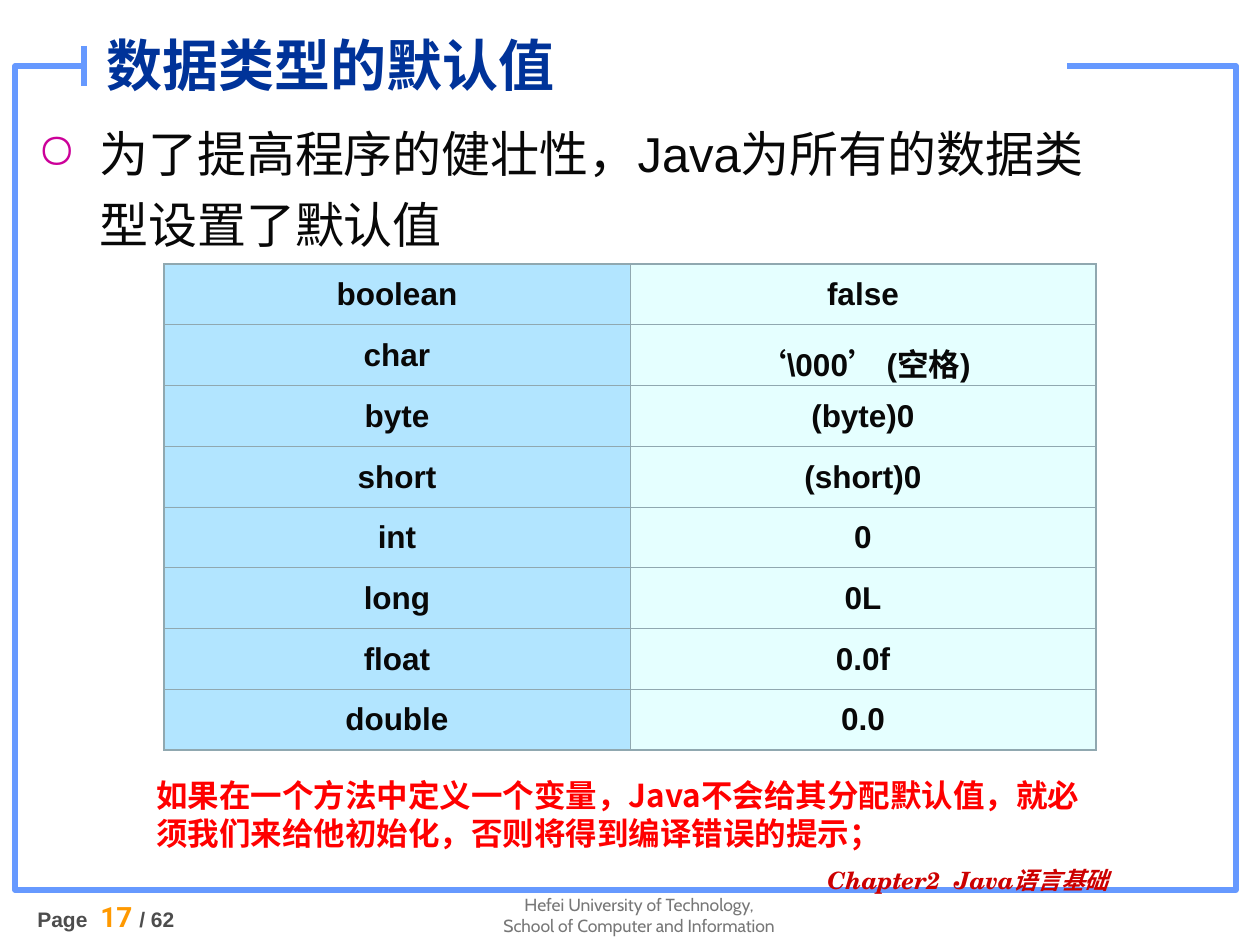
from lxml import etree
from pptx import Presentation
from pptx.dml.color import RGBColor as RGB
from pptx.enum.shapes import MSO_CONNECTOR as CONN, MSO_SHAPE as SHAPE
from pptx.enum.text import MSO_ANCHOR as ANCHOR, PP_ALIGN as ALIGN
from pptx.oxml.ns import qn
from pptx.util import Pt

PX = 914400 / 126
BLUE = RGB(0x66, 0x99, 0xFF)
WHITE = RGB(0xFF, 0xFF, 0xFF)
NAVY = RGB(0x00, 0x33, 0x99)
BLACK = RGB(0x08, 0x08, 0x08)
GREY = RGB(0x77, 0x77, 0x77)
DARK = RGB(0x4D, 0x4D, 0x4D)
ORANGE = RGB(0xFF, 0x99, 0x00)
CRIMSON = RGB(0xCC, 0x00, 0x00)
RED = RGB(0xFF, 0x00, 0x00)
MAGENTA = RGB(0xCC, 0x00, 0x99)
BORDER = RGB(0x90, 0xA8, 0xB0)
TYPE_FILL = RGB(0x66, 0xCC, 0xFF)
VALUE_FILL = RGB(0xCC, 0xFF, 0xFF)
CJK = "Noto Sans CJK SC"

prs = Presentation()
prs.slide_width, prs.slide_height = round(1260 * PX), round(945 * PX)
s = prs.slides.add_slide(prs.slide_layouts[6])


def add_run(p, text, size, color, font="Arial", bold=True, italic=False):
    r = p.add_run()
    r.text = text
    f = r.font
    f.size, f.name, f.bold, f.italic = Pt(size), font, bold, italic
    f.color.rgb = color
    ea = etree.Element(qn("a:ea"), typeface=CJK)
    r._r.rPr.find(qn("a:latin")).addnext(ea)


def add_box(x, y, w, h):
    tf = s.shapes.add_textbox(*(round(v * PX) for v in (x, y, w, h))).text_frame
    tf.word_wrap = True
    return tf


# Frame, with a white strip opening its top edge for the title
for x, y, w, h in [(15, 66, 1221, 824), (84, 35, 983, 44)]:
    sp = s.shapes.add_shape(SHAPE.RECTANGLE, *(round(v * PX) for v in (x, y, w, h)))
    sp.shadow.inherit = False
    if x == 15:
        sp.fill.background()
        sp.line.color.rgb = BLUE
        sp.line.width = Pt(3)
    else:
        sp.fill.solid()
        sp.fill.fore_color.rgb = WHITE
        sp.line.fill.background()

# Tick beside the title
tick = s.shapes.add_connector(CONN.STRAIGHT, *(round(v * PX) for v in (84, 46, 84, 86)))
tick.line.color.rgb = BLUE
tick.line.width = Pt(3)
etree.SubElement(tick._element.spPr, qn("a:effectLst"))

# Footer: school, page number, chapter
tf = add_box(479, 888, 320, 56)
lines = ["Hefei University of Technology,", "School of Computer and Information"]
for i, line in enumerate(lines):
    p = tf.add_paragraph() if i else tf.paragraphs[0]
    p.alignment = ALIGN.CENTER
    add_run(p, line, 10, GREY, "Cabin", False)

p = add_box(25, 893, 228, 50).paragraphs[0]
add_run(p, "Page ", 12, DARK)
add_run(p, " 17 ", 16, ORANGE, "Roboto")
add_run(p, "/ 62", 12, DARK)

p = add_box(815, 863, 387, 44).paragraphs[0]
p.line_spacing = 0.9
add_run(p, "Chapter2  Java语言基础", 13.6, CRIMSON, "TeX Gyre Schola", italic=True)

# Title
tf = add_box(94, 14, 853, 101)
tf.vertical_anchor = ANCHOR.MIDDLE
add_run(tf.paragraphs[0], "数据类型的默认值", 32, NAVY)

# Bulleted statement
p = add_box(25, 106, 1072, 218).paragraphs[0]
p.line_spacing = 1.2
pPr = p._p.get_or_add_pPr()
pPr.set("marL", str(round(62 * PX)))
pPr.set("indent", str(round(-62 * PX)))
bu_clr = etree.SubElement(pPr, qn("a:buClr"))
etree.SubElement(bu_clr, qn("a:srgbClr"), val=str(MAGENTA))
etree.SubElement(pPr, qn("a:buChar"), char="○")
add_run(p, "为了提高程序的健壮性，Java为所有的数据类型设置了默认值", 28, BLACK, bold=False)

# Table of default values; each cell is a list of (text, font) runs
QUOTE = "DejaVu Sans"
defaults = [
    ("boolean", [("false", "Arial")]),
    ("char", [("‘", QUOTE), ("\\000", "Arial"), ("’ ", QUOTE), ("(空格)", "Arial")]),
    ("byte", [("(byte)0", "Arial")]),
    ("short", [("(short)0", "Arial")]),
    ("int", [("0", "Arial")]),
    ("long", [("0L", "Arial")]),
    ("float", [("0.0f", "Arial")]),
    ("double", [("0.0", "Arial")]),
]
last = len(defaults) - 1
table = s.shapes.add_table(len(defaults), 2, *(round(v * PX) for v in (164, 264, 932, 486))).table
for row, (kind, value) in enumerate(defaults):
    for col, runs in enumerate([[(kind, "Arial")], value]):
        cell = table.cell(row, col)
        p = cell.text_frame.paragraphs[0]
        p.alignment = ALIGN.CENTER
        p.line_spacing = 1.2
        for text, font in runs:
            add_run(p, text, 18, BLACK, font)
        cell.fill.solid()
        cell.fill.fore_color.rgb = VALUE_FILL if col else TYPE_FILL
        tcPr = cell._tc.get_or_add_tcPr()
        etree.SubElement(tcPr.find(".//" + qn("a:srgbClr")), qn("a:alpha"), val="50000")
        # Outer edges are heavier than inner ones
        edges = [("L", col == 0), ("R", col == 1), ("T", row == 0), ("B", row == last)]
        for i, (side, outer) in enumerate(edges):
            ln = etree.Element(qn("a:ln" + side), w=str(Pt(1.08 if outer else 0.45)))
            fill = etree.SubElement(ln, qn("a:solidFill"))
            etree.SubElement(fill, qn("a:srgbClr"), val=str(BORDER))
            tcPr.insert(i, ln)

# Warning below the table
p = add_box(144, 770, 953, 88).paragraphs[0]
add_run(p, "如果在一个方法中定义一个变量，Java不会给其分配默认值，就必须我们来给他初始化，否则将得到编译错误的提示；", 18, RED, CJK)

prs.save("out.pptx")
